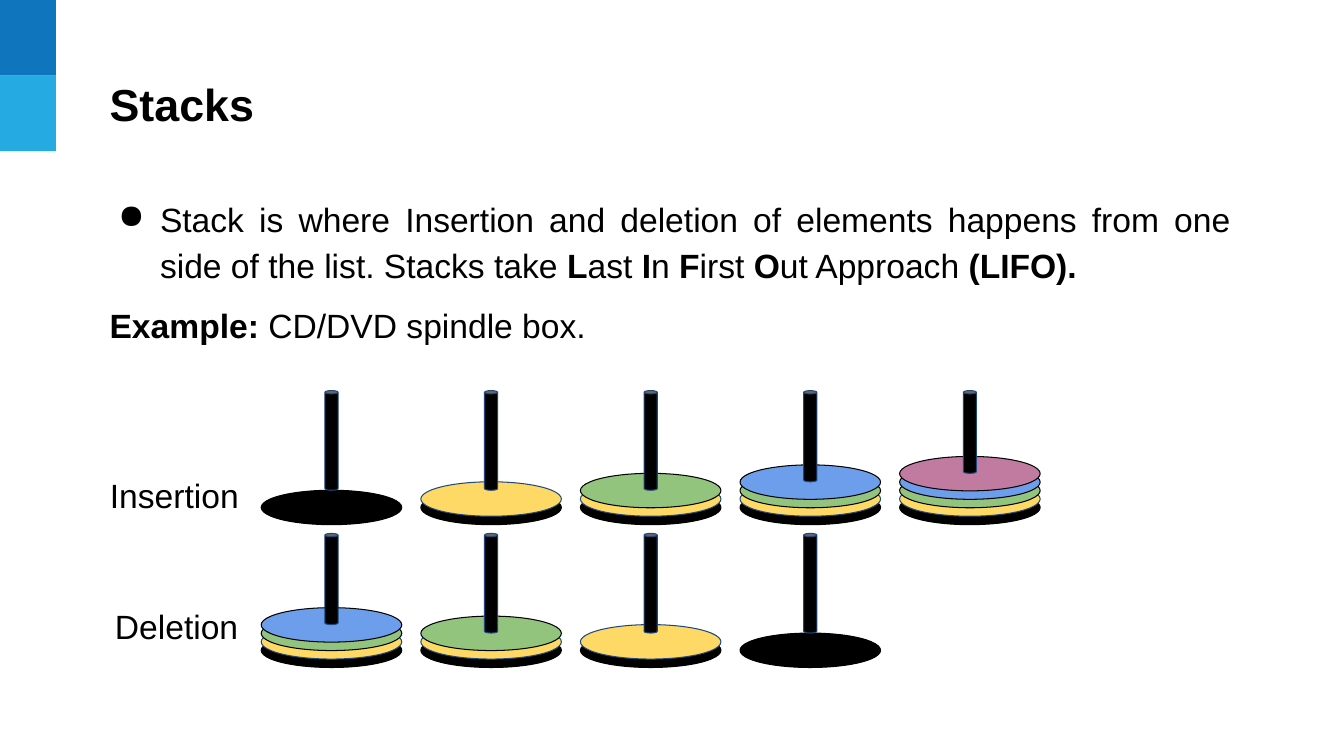
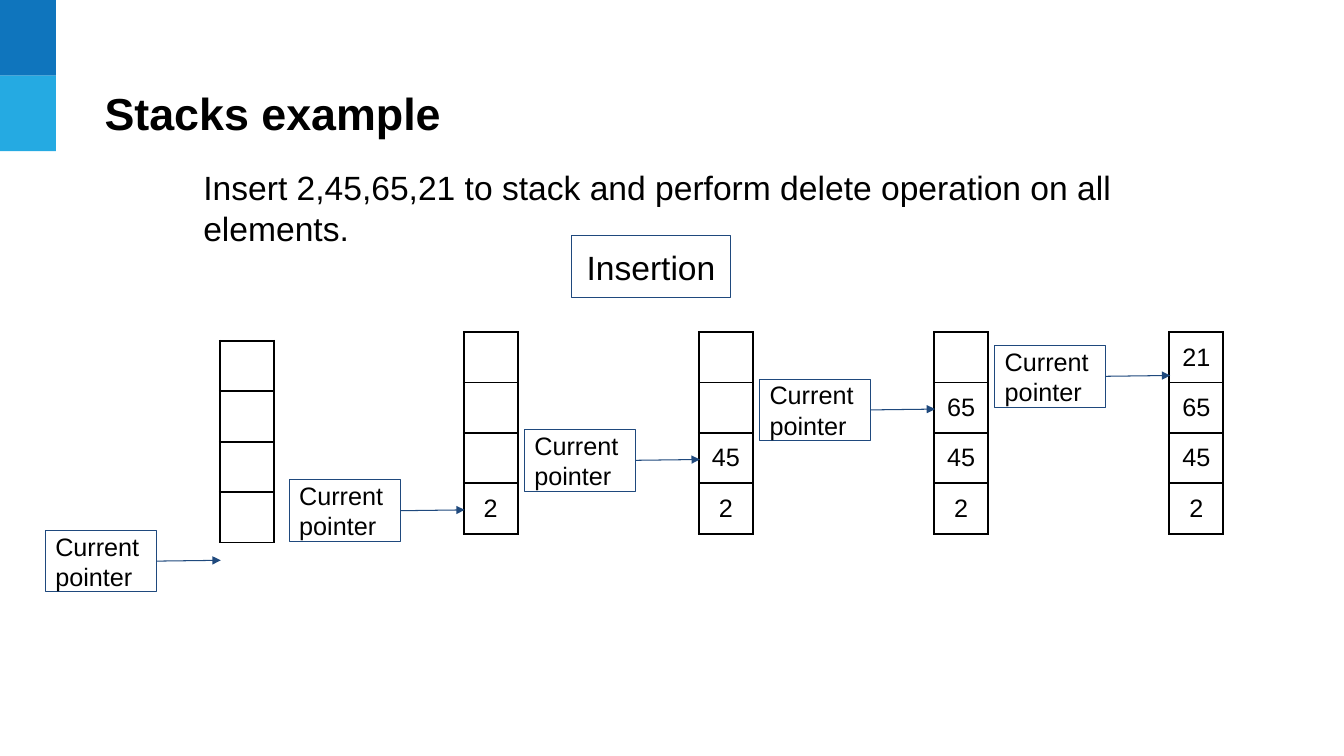
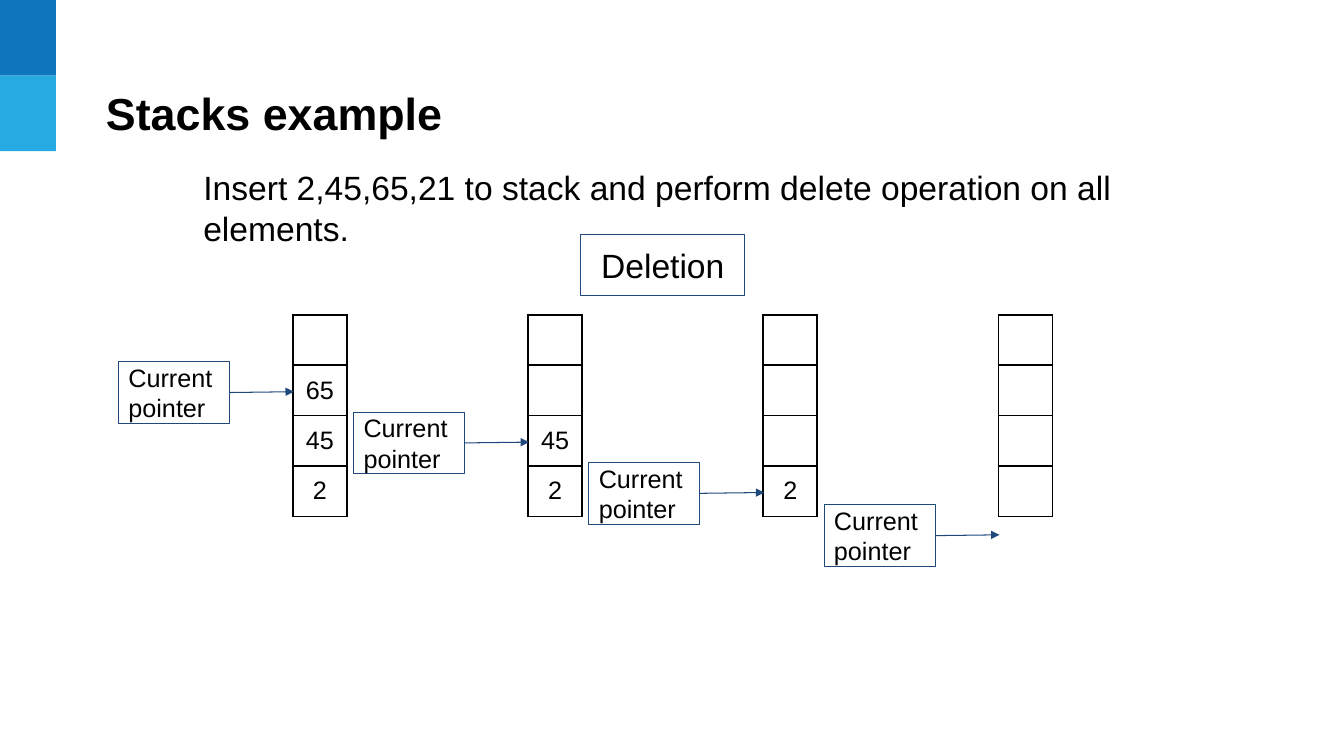
from dataclasses import dataclass

from lxml import etree
from pptx import Presentation
from pptx.dml.color import RGBColor
from pptx.enum.shapes import MSO_CONNECTOR, MSO_SHAPE
from pptx.enum.text import MSO_ANCHOR, PP_ALIGN
from pptx.oxml.ns import qn
from pptx.util import Pt

RECTANGLE, OVAL, CAN = MSO_SHAPE.RECTANGLE, MSO_SHAPE.OVAL, MSO_SHAPE.CAN
STRAIGHT = MSO_CONNECTOR.STRAIGHT
MIDDLE, TOP = MSO_ANCHOR.MIDDLE, MSO_ANCHOR.TOP
LEFT, CENTER, JUSTIFY = PP_ALIGN.LEFT, PP_ALIGN.CENTER, PP_ALIGN.JUSTIFY
RIGHT_SITE = 3


@dataclass(frozen=True)
class Theme:
    font: str = "Arial"
    black: str = "000000"
    white: str = "FFFFFF"
    navy: str = "1F497D"
    band_dark: str = "0F75BD"
    band_light: str = "25AAE2"
    yellow: str = "FFD966"
    green: str = "93C47D"
    blue: str = "6D9EEB"
    pink: str = "C27BA0"
    title_size: int = 32
    body_size: int = 24
    label_size: int = 18
    inset: float = 7.2
    thin: float = 0.75
    cell_line: float = 1.5


THEME = Theme()

# Content: text between double asterisks is bold
DEFINITION = (
    "Stack is where Insertion and deletion of elements happens from one side of "
    "the list. Stacks take **L**ast **I**n **F**irst **O**ut Approach **(LIFO).**"
)
EXAMPLE = "**Example:** CD/DVD spindle box."
TASK = "Insert 2,45,65,21 to stack and perform delete operation on all elements."

# Discs from the bottom up: fill, outline
DISCS = [
    (THEME.black, THEME.black),
    (THEME.yellow, THEME.navy),
    (THEME.green, THEME.black),
    (THEME.blue, THEME.black),
    (THEME.pink, THEME.black),
]
# Label, label left, label top, top of the base disc, discs on each spindle
SPINDLE_ROWS = [
    ("Insertion", 71.2, 332.6, 350.2, [1, 2, 3, 4, 5]),
    ("Deletion", 72.8, 426.4, 452.2, [4, 3, 2, 1]),
]

# Each stack: left, top, pointer top, cell texts from the top down
STACK_SLIDES = [
    {
        "title_left": 67.6,
        "operation": ("Insertion", 408, 168.5, 114),
        "stacks": [
            (157, 243.4, 378.8, ["", "", "", ""]),
            (331.2, 237.2, 342.8, ["", "", "", "2"]),
            (499.2, 237.2, 306.8, ["", "", "45", "2"]),
            (667.2, 237.2, 270.8, ["", "65", "45", "2"]),
            (835.2, 237.2, 246.8, ["21", "65", "45", "2"]),
        ],
    },
    {
        "title_left": 68.6,
        "operation": ("Deletion", 414.7, 167.3, 117.4),
        "stacks": [
            (209.2, 224.8, 258.4, ["", "65", "45", "2"]),
            (377.2, 224.8, 294.4, ["", "", "45", "2"]),
            (545.2, 224.8, 330.4, ["", "", "", "2"]),
            (713.2, 224.8, 360.6, ["", "", "", ""]),
        ],
    },
]

# Sizes of repeated parts
CELL_WIDTH, CELL_HEIGHT = 38.6, 36
POINTER_WIDTH, POINTER_HEIGHT, POINTER_OFFSET = 79.4, 44, 124.6
DISC_WIDTH, DISC_HEIGHT, DISC_STEP = 100.4, 24.6, 6.04
POLE_WIDTH, POLE_HEIGHT = 9.4, 71.2
SPINDLE_LEFT, SPINDLE_PITCH = 186.6, 114


def color(value):
    return RGBColor.from_string(value)


def write(paragraph, text, size=THEME.body_size, bold=False, align=LEFT,
          spacing=None, before=None):
    paragraph.alignment = align
    if spacing:
        paragraph.line_spacing = spacing
    if before:
        paragraph.space_before = Pt(before)
    for index, piece in enumerate(text.split("**")):
        if piece:
            run = paragraph.add_run()
            run.text = piece
            run.font.name = THEME.font
            run.font.size = Pt(size)
            run.font.bold = bold or index % 2 == 1
            run.font.color.rgb = color(THEME.black)


def add_bullet(paragraph, character, margin, indent):
    properties = paragraph._p.get_or_add_pPr()
    properties.set("marL", str(Pt(margin)))
    properties.set("indent", str(Pt(indent)))
    bullet_color = etree.SubElement(properties, qn("a:buClr"))
    etree.SubElement(bullet_color, qn("a:srgbClr"), val=THEME.black)
    etree.SubElement(properties, qn("a:buChar"), char=character)


def set_frame(frame, anchor, vertical=THEME.inset):
    frame.word_wrap = True
    frame.vertical_anchor = anchor
    frame.margin_left = frame.margin_right = Pt(THEME.inset)
    frame.margin_top = frame.margin_bottom = Pt(vertical)
    return frame


def add_text(slide, left, top, width, height, anchor=TOP, vertical=THEME.inset):
    box = slide.shapes.add_textbox(Pt(left), Pt(top), Pt(width), Pt(height))
    return set_frame(box.text_frame, anchor, vertical)


def add_shape(shapes, kind, left, top, width, height, fill, line=None):
    shape = shapes.add_shape(kind, Pt(left), Pt(top), Pt(width), Pt(height))
    shape.shadow.inherit = False
    shape.fill.solid()
    shape.fill.fore_color.rgb = color(fill)
    if line:
        shape.line.color.rgb = color(line)
        shape.line.width = Pt(THEME.thin)
    else:
        shape.line.fill.background()
    return shape


def add_label(slide, text, left, top, width, height, line=THEME.navy,
              size=THEME.body_size, align=CENTER):
    label = add_shape(slide.shapes, RECTANGLE, left, top, width, height,
                      THEME.white, line)
    frame = set_frame(label.text_frame, MIDDLE)
    write(frame.paragraphs[0], text, size=size, align=align)
    return label


def start_slide(presentation, title, left, top):
    slide = presentation.slides.add_slide(presentation.slide_layouts[6])
    for index, fill in enumerate((THEME.band_dark, THEME.band_light)):
        add_shape(slide.shapes, RECTANGLE, 0, 54 * index, 40, 54, fill)
    frame = add_text(slide, left, top, 630, 65, anchor=MIDDLE, vertical=3.6)
    write(frame.paragraphs[0], title, size=THEME.title_size, bold=True)
    return slide


def add_spindle(slide, left, base_top, disc_count):
    shapes = slide.shapes.add_group_shape().shapes
    for level, (fill, line) in enumerate(DISCS[:disc_count]):
        add_shape(shapes, OVAL, left, base_top - level * DISC_STEP,
                  DISC_WIDTH, DISC_HEIGHT, fill, line)
    # The pole ends inside the top disc once the stack is high
    height = POLE_HEIGHT - max(0, disc_count - 3) * DISC_STEP
    add_shape(shapes, CAN, left + (DISC_WIDTH - POLE_WIDTH) / 2,
              base_top - POLE_HEIGHT, POLE_WIDTH, height, THEME.black, THEME.navy)


def set_borders(cell):
    properties = cell._tc.get_or_add_tcPr()
    for position, side in enumerate(("lnL", "lnR", "lnT", "lnB")):
        border = etree.Element(qn(f"a:{side}"), w=str(Pt(THEME.cell_line)))
        fill = etree.SubElement(border, qn("a:solidFill"))
        etree.SubElement(fill, qn("a:srgbClr"), val=THEME.black)
        properties.insert(position, border)


def add_stack(slide, left, top, values):
    frame = slide.shapes.add_table(len(values), 1, Pt(left), Pt(top),
                                   Pt(CELL_WIDTH), Pt(CELL_HEIGHT * len(values)))
    table = frame.table
    table.first_row = table.horz_banding = False
    table.columns[0].width = Pt(CELL_WIDTH)
    for row, value in enumerate(values):
        table.rows[row].height = Pt(CELL_HEIGHT)
        cell = table.cell(row, 0)
        cell.fill.background()
        cell.vertical_anchor = MIDDLE
        cell.margin_left = cell.margin_right = Pt(THEME.inset)
        cell.margin_top = cell.margin_bottom = Pt(THEME.inset)
        set_borders(cell)
        write(cell.text_frame.paragraphs[0], value, size=THEME.label_size,
              align=CENTER)


def add_pointer(slide, stack_left, top):
    left = stack_left - POINTER_OFFSET
    label = add_label(slide, "Current pointer", left, top, POINTER_WIDTH,
                      POINTER_HEIGHT, size=THEME.label_size, align=LEFT)
    middle = top + POINTER_HEIGHT / 2
    arrow = slide.shapes.add_connector(
        STRAIGHT, Pt(left + POINTER_WIDTH), Pt(middle),
        Pt(stack_left + 0.7), Pt(middle - 0.6))
    arrow.begin_connect(label, RIGHT_SITE)
    arrow.line.color.rgb = color(THEME.navy)
    arrow.line.width = Pt(THEME.thin)
    etree.SubElement(arrow.line._get_or_add_ln(), qn("a:tailEnd"), type="triangle")
    etree.SubElement(arrow._element.spPr, qn("a:effectLst"))


def build_spindle_slide(presentation):
    slide = start_slide(presentation, "Stacks", 71.2, 41.2)
    frame = add_text(slide, 71.2, 130.3, 815, 121)
    definition = frame.paragraphs[0]
    add_bullet(definition, "●", 36, -30)
    write(definition, DEFINITION, align=JUSTIFY, spacing=1.15)
    write(frame.add_paragraph(), EXAMPLE, align=JUSTIFY, spacing=1.15, before=10)
    for label, label_left, label_top, base_top, counts in SPINDLE_ROWS:
        for column, count in enumerate(counts):
            add_spindle(slide, SPINDLE_LEFT + column * SPINDLE_PITCH, base_top, count)
        add_label(slide, label, label_left, label_top, 106.6, 41.8, line=THEME.white)


def build_stack_slide(presentation, content):
    slide = start_slide(presentation, "Stacks example", content["title_left"], 47.6)
    frame = add_text(slide, 138.2, 112.3, 731, 44)
    write(frame.paragraphs[0], TASK)
    for left, top, pointer_top, values in content["stacks"]:
        add_stack(slide, left, top, values)
        add_pointer(slide, left, pointer_top)
    operation, left, top, width = content["operation"]
    add_label(slide, operation, left, top, width, 44)


def main():
    presentation = Presentation()
    presentation.slide_width, presentation.slide_height = Pt(960), Pt(540)
    build_spindle_slide(presentation)
    for content in STACK_SLIDES:
        build_stack_slide(presentation, content)
    presentation.save("out.pptx")


if __name__ == "__main__":
    main()
